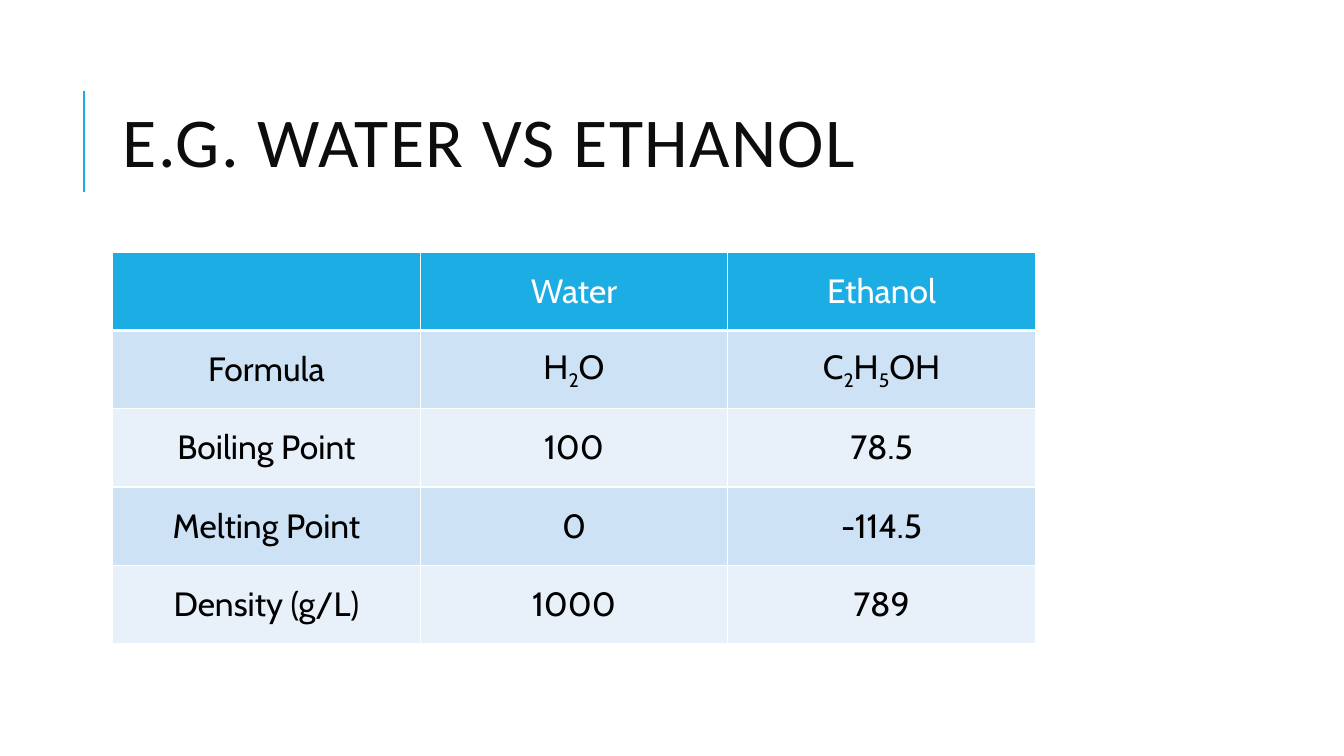
from dataclasses import dataclass

from lxml import etree
from pptx import Presentation
from pptx.dml.color import RGBColor
from pptx.enum.shapes import MSO_CONNECTOR
from pptx.enum.text import MSO_ANCHOR, MSO_AUTO_SIZE, PP_ALIGN
from pptx.oxml.ns import qn
from pptx.util import Cm, Pt

STRAIGHT = MSO_CONNECTOR.STRAIGHT
MIDDLE = MSO_ANCHOR.MIDDLE
NO_AUTOFIT = MSO_AUTO_SIZE.NONE
LEFT, CENTER = PP_ALIGN.LEFT, PP_ALIGN.CENTER
TITLE_ONLY = 5


@dataclass(frozen=True)
class Theme:
    accent: str = "1CADE4"
    band_dark: str = "CDE3F5"
    band_light: str = "E8F1FA"
    border: str = "FFFFFF"
    header_text: str = "FFFFFF"
    body_text: str = "000000"
    title_text: str = "0D0D0D"
    title_font: str = "Calibri"
    table_font: str = "Cabin"
    title_size: int = 50
    table_size: int = 24


THEME = Theme()

# A tuple is a chemical formula; its digits are set as subscripts.
PROPERTIES = [
    ("", "Water", "Ethanol"),
    ("Formula", ("H", "2", "O"), ("C", "2", "H", "5", "OH")),
    ("Boiling Point", "100", "78.5"),
    ("Melting Point", "0", "-114.5"),
    ("Density (g/L)", "1000", "789"),
]


def style_font(font, name, size, color):
    font.name = name
    font.size = Pt(size)
    font.bold = False
    font.color.rgb = RGBColor.from_string(color)


def set_title(s, text):
    title = s.shapes.title
    title.left, title.top = Cm(2.84), Cm(1.63)
    title.width, title.height = Cm(27), Cm(4.17)
    tf = title.text_frame
    tf.auto_size = NO_AUTOFIT
    tf.word_wrap = True
    tf.vertical_anchor = MIDDLE
    p = tf.paragraphs[0]
    p.alignment = LEFT
    p.line_spacing = 0.8
    r = p.add_run()
    r.text = text
    r._r.get_or_add_rPr().set("spc", "100")
    style_font(p.font, THEME.title_font, THEME.title_size, THEME.title_text)


def add_rule(s, x, y1, y2):
    rule = s.shapes.add_connector(STRAIGHT, x, y1, x, y2)
    rule.line.color.rgb = RGBColor.from_string(THEME.accent)
    rule.line.width = Pt(1.5)
    etree.SubElement(rule._element.spPr, qn("a:effectLst"))


def set_borders(cell, bottom):
    """Draw all four sides 1 pt wide, except the bottom one."""
    tcPr = cell._tc.get_or_add_tcPr()
    for side, width in (("L", 1), ("R", 1), ("T", 1), ("B", bottom)):
        ln = etree.SubElement(tcPr, qn(f"a:ln{side}"), w=str(Pt(width)))
        fill = etree.SubElement(ln, qn("a:solidFill"))
        etree.SubElement(fill, qn("a:srgbClr"), val=THEME.border)


def fill_cell(cell, content, fill, color, bottom=1):
    set_borders(cell, bottom)
    cell.fill.solid()
    cell.fill.fore_color.rgb = RGBColor.from_string(fill)
    cell.vertical_anchor = MIDDLE
    p = cell.text_frame.paragraphs[0]
    p.alignment = CENTER
    is_formula = isinstance(content, tuple)
    for part in content if is_formula else (content,):
        if part:
            r = p.add_run()
            r.text = part
            if is_formula and part.isdigit():
                r._r.get_or_add_rPr().set("baseline", "-25000")
    style_font(p.font, THEME.table_font, THEME.table_size, color)


def add_property_table(s, rows):
    col_width, row_height = Cm(7.75), Cm(1.97)
    n_rows, n_cols = len(rows), len(rows[0])
    table = s.shapes.add_table(n_rows, n_cols, Cm(2.84), Cm(6.36),
                               col_width * n_cols, row_height * n_rows).table
    for column in table.columns:
        column.width = col_width
    for i, row in enumerate(rows):
        table.rows[i].height = row_height
        for j, content in enumerate(row):
            cell = table.cell(i, j)
            if i == 0:
                fill_cell(cell, content, THEME.accent, THEME.header_text, bottom=3)
            else:
                band = THEME.band_dark if i % 2 else THEME.band_light
                fill_cell(cell, content, band, THEME.body_text)


def main():
    prs = Presentation()
    prs.slide_width, prs.slide_height = Cm(33.87), Cm(19.05)
    s = prs.slides.add_slide(prs.slide_layouts[TITLE_ONLY])
    add_rule(s, Cm(2.12), Cm(4.83), Cm(2.29))
    set_title(s, "E.G. WATER VS ETHANOL")
    add_property_table(s, PROPERTIES)
    prs.save("out.pptx")


if __name__ == "__main__":
    main()
